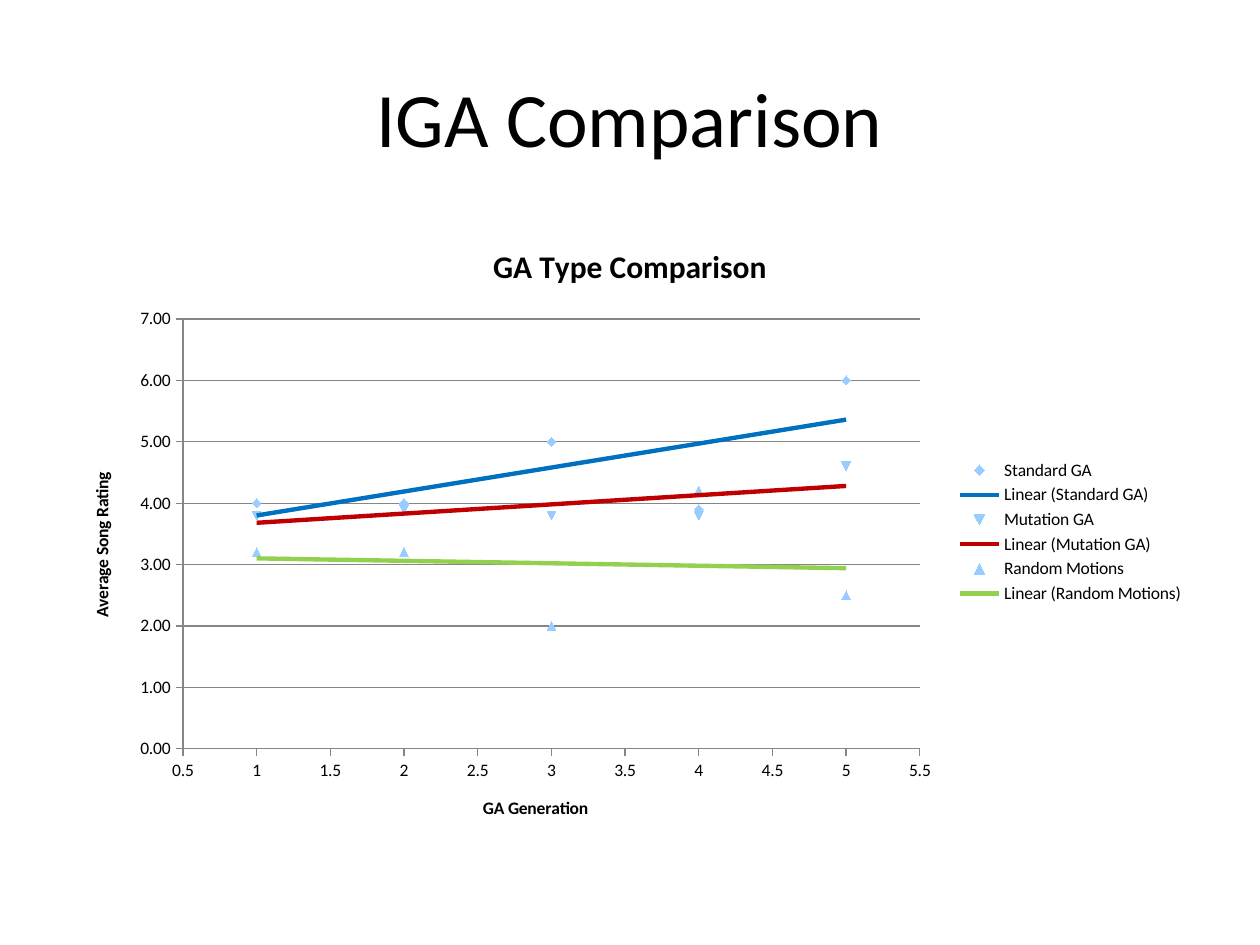
import pptx
import pptx.util
import pptx.chart.data
import pptx.dml.color
import pptx.enum.chart
import pptx.enum.text
import pptx.oxml

SCALE = 914400 // 126
FONT = "Calibri"
HEX = {"text": "000000", "axis": "868686", "mark": "99CCFF",
       "blue": "0070C0", "red": "C00000", "green": "92D050"}
HEAD = "IGA Comparison"
NAMES = {"chart": "GA Type Comparison", "x": "GA Generation", "y": "Average Song Rating"}
GENS = [1, 2, 3, 4, 5]
RUNS = [
    ("Standard GA", [4, 4, 5, 3.9, 6], "blue"),
    ("Mutation GA", [3.8, 3.9, 3.8, 3.8, 4.6], "red"),
    ("Random Motions", [3.2, 3.2, 2, 4.2, 2.5], "green"),
]
BOX = {"head": (63, 38, 1134, 158), "chart": (63, 220, 1134, 624)}
PLOT = (183, 319, 737, 430)
TREND = """<c:trendline xmlns:c="http://schemas.openxmlformats.org/drawingml/2006/chart"
 xmlns:a="http://schemas.openxmlformats.org/drawingml/2006/main">
<c:spPr><a:ln w="31750"><a:solidFill><a:srgbClr val="{}"/></a:solidFill></a:ln></c:spPr>
<c:trendlineType val="linear"/><c:dispRSqr val="0"/><c:dispEq val="0"/></c:trendline>"""
LAYOUT = """<c:layout xmlns:c="http://schemas.openxmlformats.org/drawingml/2006/chart">
<c:manualLayout><c:layoutTarget val="inner"/><c:xMode val="edge"/><c:yMode val="edge"/>
<c:x val="{:.4f}"/><c:y val="{:.4f}"/><c:w val="{:.4f}"/><c:h val="{:.4f}"/>
</c:manualLayout></c:layout>"""


def color(key):
    return pptx.dml.color.RGBColor.from_string(HEX[key])


def place(name):
    return [n * SCALE for n in BOX[name]]


def style(font, size, bold=False):
    font.name, font.size, font.bold = FONT, pptx.util.Pt(size), bold
    font.color.rgb = color("text")


def write(frame, text, size=10, bold=True):
    para = frame.paragraphs[0]
    para.alignment = pptx.enum.text.PP_ALIGN.CENTER
    run = para.add_run()
    run.text = text
    style(run.font, size, bold)


def set_axis(axis, title, low, high, step, code):
    write(axis.axis_title.text_frame, title)
    axis.minimum_scale, axis.maximum_scale, axis.major_unit = low, high, step
    axis.major_tick_mark = pptx.enum.chart.XL_TICK_MARK.OUTSIDE
    axis.crosses = pptx.enum.chart.XL_AXIS_CROSSES.MINIMUM
    axis.tick_labels.number_format = code
    axis.tick_labels.number_format_is_linked = False
    style(axis.tick_labels.font, 10)
    axis.format.line.color.rgb = color("axis")


def set_run(plot, hue):
    plot.format.line.fill.background()
    plot.smooth = False
    plot.marker.style = pptx.enum.chart.XL_MARKER_STYLE.AUTOMATIC
    plot.marker.size = 5
    plot.marker.format.fill.solid()
    plot.marker.format.fill.fore_color.rgb = color("mark")
    plot.marker.format.line.fill.background()
    trend = pptx.oxml.parse_xml(TREND.format(HEX[hue]))
    plot._element.find("{*}xVal").addprevious(trend)


def add_chart(slide):
    data = pptx.chart.data.XyChartData()
    for name, vals, _ in RUNS:
        row = data.add_series(name)
        for gen, val in zip(GENS, vals):
            row.add_data_point(gen, val)
    kind = pptx.enum.chart.XL_CHART_TYPE.XY_SCATTER
    chart = slide.shapes.add_chart(kind, *place("chart"), data).chart
    style(chart.font, 10)
    write(chart.chart_title.text_frame, NAMES["chart"], size=18)
    chart.plots[0].vary_by_categories = False
    chart.has_legend = True
    chart.legend.position = pptx.enum.chart.XL_LEGEND_POSITION.RIGHT
    chart.legend.include_in_layout = False
    style(chart.legend.font, 10)
    set_axis(chart.category_axis, NAMES["x"], 0.5, 5.5, 0.5, "General")
    set_axis(chart.value_axis, NAMES["y"], 0, 7, 1, "0.00")
    chart.category_axis.has_major_gridlines = False
    chart.value_axis.major_gridlines.format.line.color.rgb = color("axis")
    for plot, (_, _, hue) in zip(chart.plots[0].series, RUNS):
        set_run(plot, hue)
    left, top, wide, high = BOX["chart"]
    x, y, w, h = PLOT
    part = chart._chartSpace.find(".//{*}plotArea")
    for old in part.findall("{*}layout"):
        part.remove(old)
    area = ((x - left) / wide, (y - top) / high, w / wide, h / high)
    part.insert(0, pptx.oxml.parse_xml(LAYOUT.format(*area)))


def main():
    deck = pptx.Presentation()
    deck.slide_width, deck.slide_height = 1260 * SCALE, 945 * SCALE
    slide = deck.slides.add_slide(deck.slide_layouts[6])
    frame = slide.shapes.add_textbox(*place("head")).text_frame
    frame.word_wrap = True
    frame.vertical_anchor = pptx.enum.text.MSO_ANCHOR.MIDDLE
    write(frame, HEAD, size=44, bold=False)
    add_chart(slide)
    deck.save("out.pptx")


if __name__ == "__main__":
    main()
